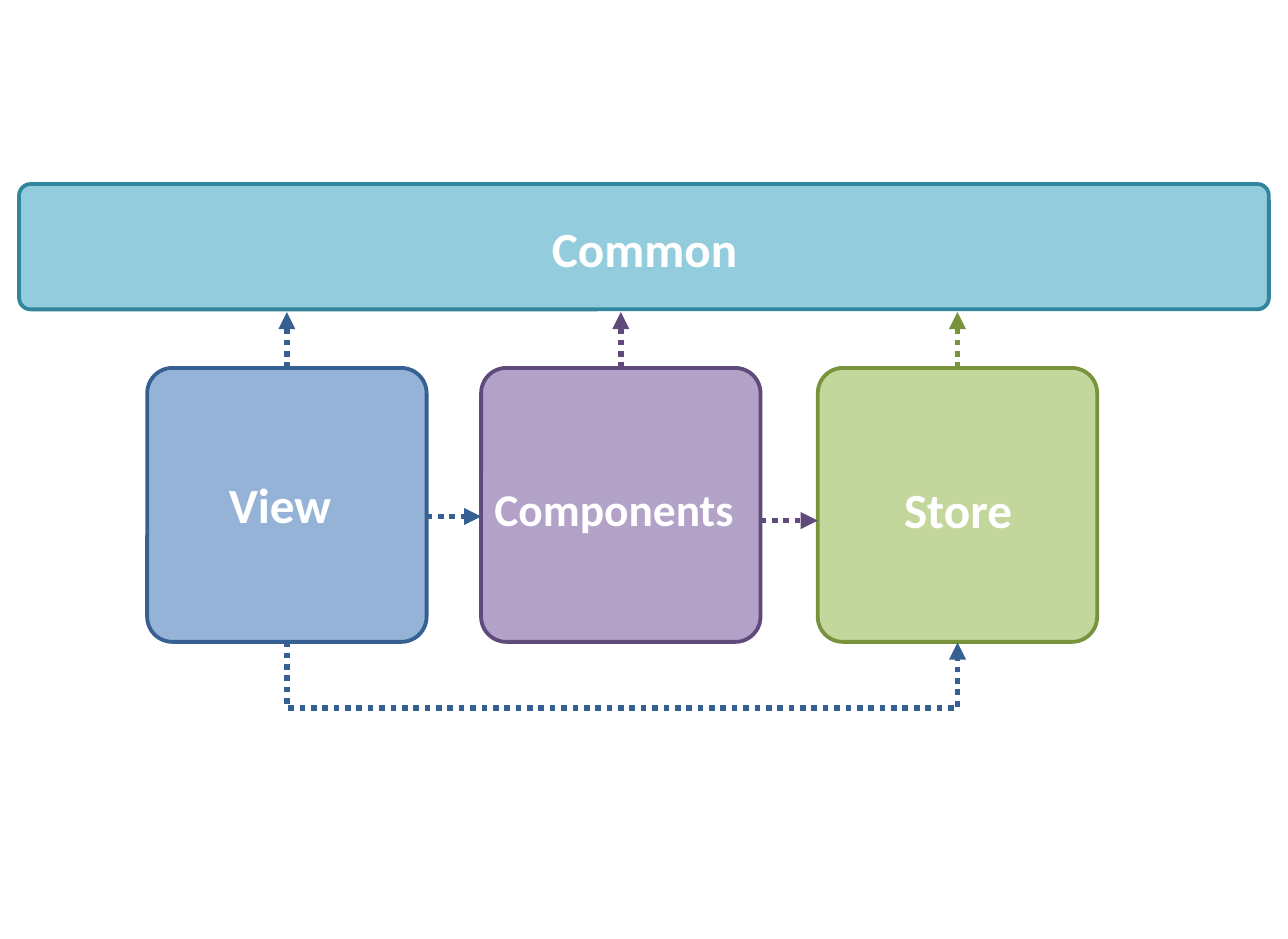
import lxml.etree
import pptx
import pptx.dml.color
import pptx.enum.dml
import pptx.enum.shapes
import pptx.enum.text
import pptx.oxml.ns
import pptx.util

Inches = pptx.util.Inches
qualified = pptx.oxml.ns.qn

COLORS = {
    "white": "FFFFFF",
    "common": "93CDDD", "common_line": "31859C",
    "view": "95B3D7", "view_line": "376092",
    "components": "B3A2C7", "components_line": "604A7B",
    "store": "C3D69B", "store_line": "77933C",
}
MODULE_SIZE = (2.05, 2.01)
MODULE_TOP = 2.7
COMMON_BOX = (0.14, 1.35, 9.17, 0.92)
# Name, left edge, label box relative to the module, text size
MODULES = [
    ("View", 1.08, (0.22, 0.73, 1.51, 0.54), 26),
    ("Components", 3.53, (-0.2, 0.78, 2.35, 0.5), 24),
    ("Store", 6.0, (0.01, 0.77, 2.04, 0.54), 26),
]


def color(name):
    return pptx.dml.color.RGBColor.from_string(COLORS[name])


def add_text(page, text, box, size=26, font="Calibri", fill="white", bold=True):
    label = page.shapes.add_textbox(*map(Inches, box))
    frame = label.text_frame
    frame.word_wrap = True
    frame.auto_size = pptx.enum.text.MSO_AUTO_SIZE.SHAPE_TO_FIT_TEXT
    para = frame.paragraphs[0]
    para.alignment = pptx.enum.text.PP_ALIGN.CENTER
    span = para.add_run()
    span.text = text
    span.font.name = font
    span.font.size = pptx.util.Pt(size)
    span.font.bold = bold
    span.font.color.rgb = color(fill)


def add_block(page, name, box, label_box, size=26):
    """Draw a rounded block and its label, placed relative to the block."""
    block = page.shapes.add_shape(
        pptx.enum.shapes.MSO_SHAPE.ROUNDED_RECTANGLE, *map(Inches, box))
    block.adjustments[0] = 0.092
    block.shadow.inherit = False
    block.fill.solid()
    block.fill.fore_color.rgb = color(name.lower())
    block.line.color.rgb = color(name.lower() + "_line")
    block.line.width = pptx.util.Pt(2)
    left, top, width, height = label_box
    add_text(page, name, (box[0] + left, box[1] + top, width, height), size=size)


def add_arrow(page, start, end, name, kind="STRAIGHT"):
    arrow = page.shapes.add_connector(
        pptx.enum.shapes.MSO_CONNECTOR[kind], *map(Inches, start + end))
    arrow.line.color.rgb = color(name.lower() + "_line")
    arrow.line.width = pptx.util.Pt(3)
    arrow.line.dash_style = pptx.enum.dml.MSO_LINE.ROUND_DOT
    properties = arrow._element.spPr
    outline = properties.find(qualified("a:ln"))
    lxml.etree.SubElement(outline, qualified("a:tailEnd"), type="triangle")
    lxml.etree.SubElement(properties, qualified("a:effectLst"))
    return arrow


def add_bypass(page, left, right, top, depth, name):
    """Draw a U-shaped arrow that dips below the modules by depth."""
    thickness = 0.01
    middle, half = (left + right) / 2, (right - left) / 2
    arrow = add_arrow(page, (middle + thickness / 2, top - half),
                      (middle - thickness / 2, top + half), name, kind="ELBOW")
    properties = arrow._element.spPr
    properties.find(qualified("a:xfrm")).set("rot", str(270 * 60000))
    guides = properties.find(qualified("a:prstGeom")).find(qualified("a:avLst"))
    bend = round(depth / thickness * 100000)
    lxml.etree.SubElement(guides, qualified("a:gd"), name="adj1", fmla=f"val {bend}")


def add_modules(page, top):
    width, height = MODULE_SIZE
    for name, left, label_box, size in MODULES:
        add_block(page, name, (left, top, width, height), label_box, size)


def add_dependencies(page, top):
    width, height = MODULE_SIZE
    centers = {name: left + width / 2 for name, left, *_ in MODULES}
    # Every module uses Common
    for name, center in centers.items():
        add_arrow(page, (center, top), (center, top - 0.41), name)
    # Each module uses the next one
    for (name, left, *_), following, drop in zip(MODULES, MODULES[1:], (1.09, 1.12)):
        add_arrow(page, (left + width, top + drop), (following[1], top + drop), name)
    # View uses Store directly
    add_bypass(page, centers["View"], centers["Store"], top + height, 0.5, "View")


deck = pptx.Presentation()
deck.slide_width, deck.slide_height = Inches(9.45), Inches(6.89)
page = deck.slides.add_slide(deck.slide_layouts[6])

add_modules(page, MODULE_TOP)
add_block(page, "Common", COMMON_BOX, (2.78, 0.2, 3.62, 0.54))
add_dependencies(page, MODULE_TOP)

deck.save("out.pptx")
